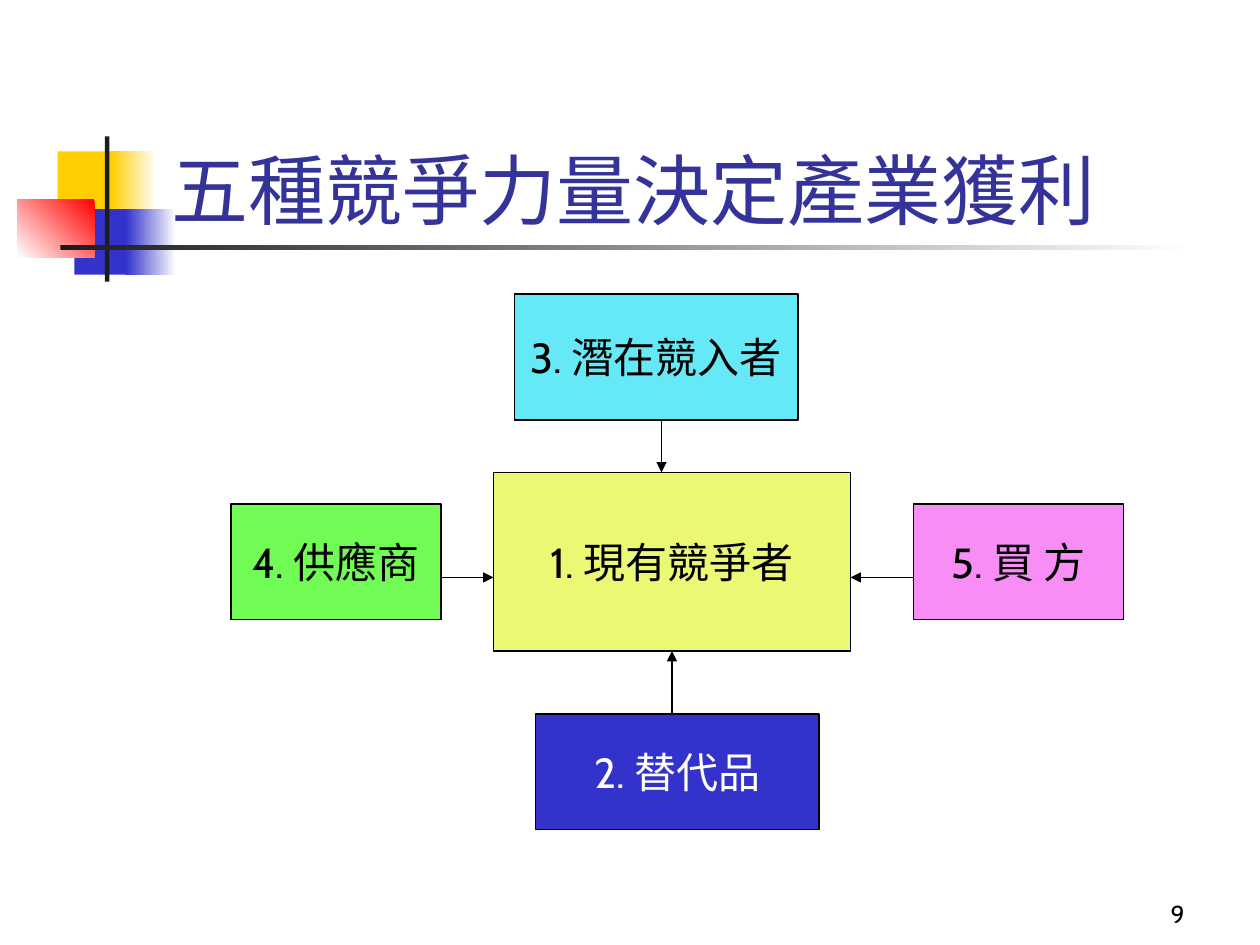
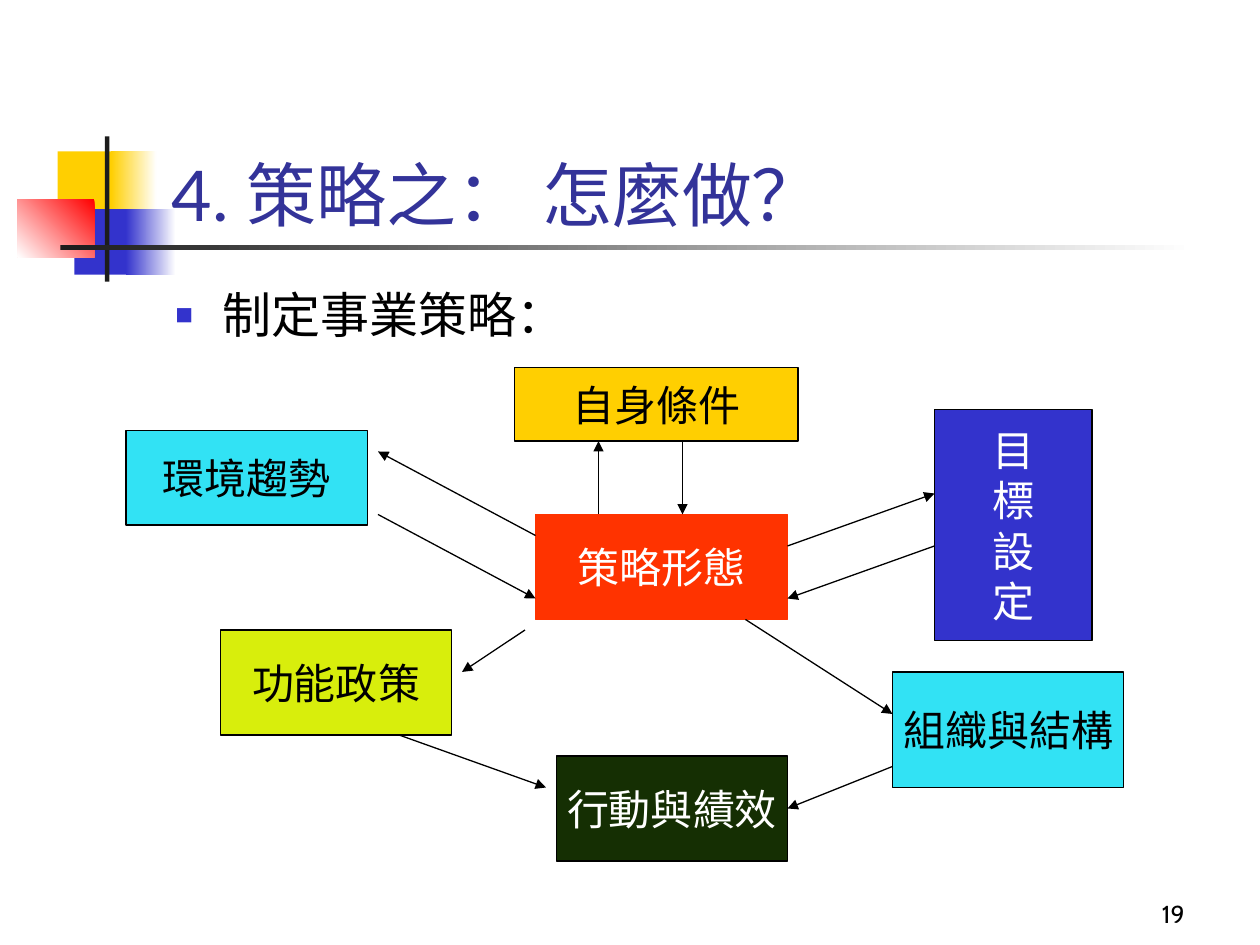
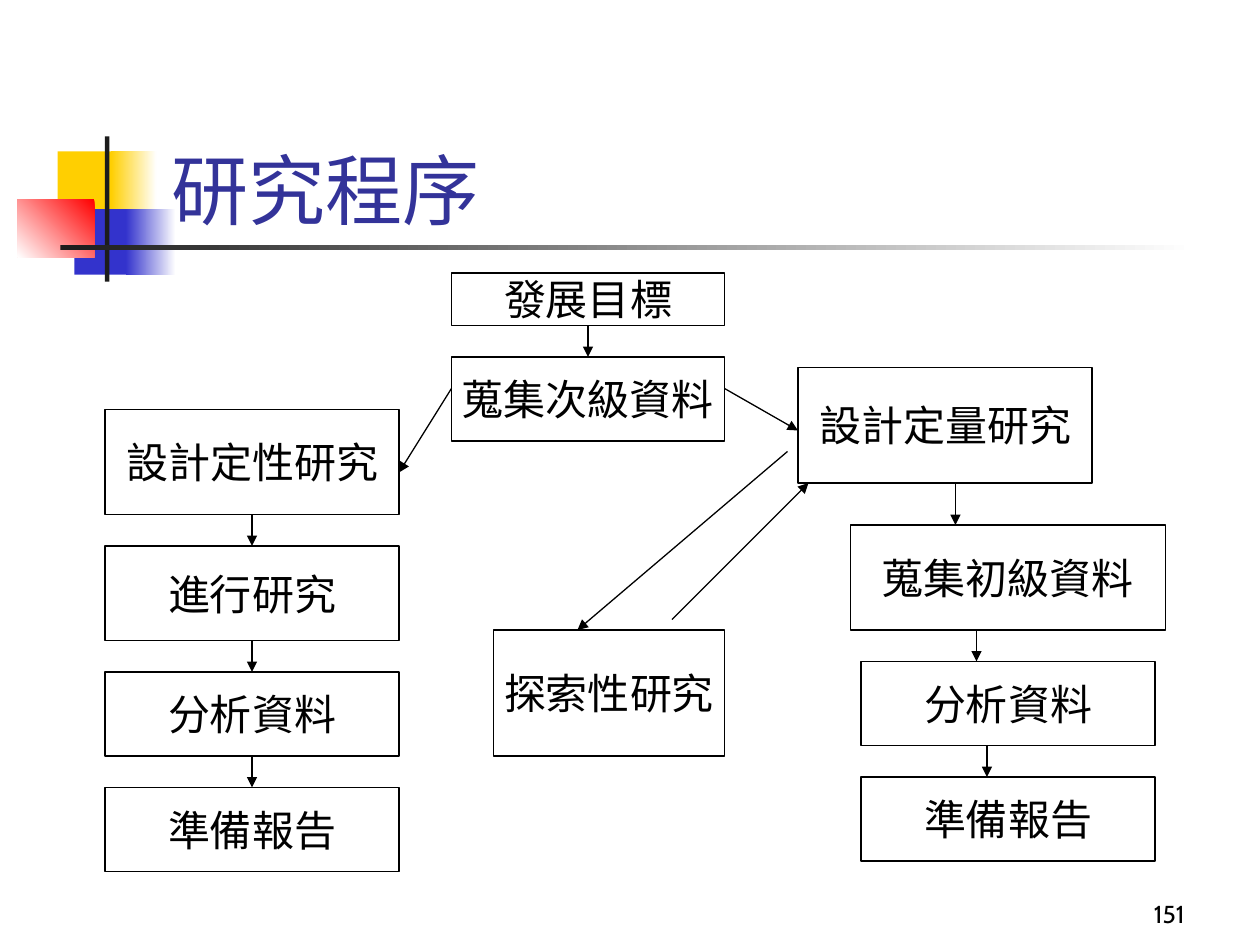
import lxml.etree
import pptx
import pptx.dml.color
import pptx.enum.shapes
import pptx.enum.text
import pptx.oxml.ns
import pptx.util

Pt = pptx.util.Pt
RGBColor = pptx.dml.color.RGBColor
Align = pptx.enum.text.PP_ALIGN
Anchor = pptx.enum.text.MSO_ANCHOR
qn = pptx.oxml.ns.qn

BLACK = RGBColor(0x00, 0x00, 0x00)
WHITE = RGBColor(0xFF, 0xFF, 0xFF)
CHARCOAL = RGBColor(0x1C, 0x1C, 0x1C)
GOLD = RGBColor(0xFF, 0xCF, 0x01)
BLUE = RGBColor(0x33, 0x33, 0xCC)
RED = RGBColor(0xFF, 0x00, 0x00)
TITLE_BLUE = RGBColor(0x33, 0x33, 0x99)
LEMON = RGBColor(0xEB, 0xF8, 0x74)
SKY = RGBColor(0x65, 0xE9, 0xF7)
GREEN = RGBColor(0x71, 0xFB, 0x55)
PINK = RGBColor(0xF8, 0x8E, 0xF5)
ORANGE = RGBColor(0xFF, 0x33, 0x00)
CYAN = RGBColor(0x32, 0xE2, 0xF4)
LIME = RGBColor(0xD8, 0xEE, 0x0C)
FOREST = RGBColor(0x15, 0x2F, 0x03)

BODY_FONT = "Cabin"
LINE_WIDTH = 0.75

# Regions as (left, top, width, height) in points
EMBLEM_AREA = (10, 78, 673, 83)
TITLE_AREA = (91, 48, 613, 90)
BODY_AREA = (93, 159, 612, 324)
NUMBER_AREA = (534, 498, 150, 36)
FORCES_AREA = (132, 168, 510, 306)
STRATEGY_AREA = (72, 210, 570, 282)
RESEARCH_AREA = (60, 156, 606, 342)


# Shared parts
def style_text(text_frame, size, color, font=BODY_FONT, align=Align.LEFT):
    for paragraph in text_frame.paragraphs:
        paragraph.alignment = align
        paragraph.font.name = font
        paragraph.font.size = Pt(size)
        paragraph.font.color.rgb = color


def place(placeholder, area):
    placeholder.left, placeholder.top, placeholder.width, placeholder.height = map(Pt, area)
    placeholder.text_frame.auto_size = pptx.enum.text.MSO_AUTO_SIZE.NONE


def add_rect(slide, area, left, top, width, height):
    rect = slide.shapes.add_shape(
        pptx.enum.shapes.MSO_SHAPE.RECTANGLE,
        Pt(area[0] + left), Pt(area[1] + top), Pt(width), Pt(height))
    rect.shadow.inherit = False
    return rect


def add_box(slide, area, label, left, top, width, height,
            fill=WHITE, ink=BLACK, outline=BLACK):
    box = add_rect(slide, area, left, top, width, height)
    box.fill.solid()
    box.fill.fore_color.rgb = fill
    box.line.color.rgb = outline
    box.line.width = Pt(LINE_WIDTH)
    frame = box.text_frame
    frame.word_wrap = False
    frame.vertical_anchor = Anchor.MIDDLE
    frame.text = label
    style_text(frame, 24, ink, align=Align.CENTER)


def add_arrow(slide, area, x1, y1, x2, y2):
    left, top = area[:2]
    arrow = slide.shapes.add_connector(
        pptx.enum.shapes.MSO_CONNECTOR.STRAIGHT,
        Pt(left + x1), Pt(top + y1), Pt(left + x2), Pt(top + y2))
    arrow.line.color.rgb = BLACK
    arrow.line.width = Pt(LINE_WIDTH)
    properties = arrow.element.spPr
    lxml.etree.SubElement(properties.find(qn("a:ln")), qn("a:tailEnd"), type="triangle")
    lxml.etree.SubElement(properties, qn("a:effectLst"))


def add_diagram(slide, area, boxes, arrows):
    for box in boxes:
        add_box(slide, area, *box)
    for arrow in arrows:
        add_arrow(slide, area, *arrow)


def add_stack(slide, area, top, steps, links):
    """Stack (label, left, width, height) steps, joined by (arrow x, gap) links."""
    for index, (label, left, width, height) in enumerate(steps):
        add_box(slide, area, label, left, top, width, height)
        top += height
        if index < len(links):
            x, gap = links[index]
            add_arrow(slide, area, x, top, x, top + gap)
            top += gap


def add_emblem(slide, master, area):
    """Draw the squares and rules, then hand them to the master."""
    parts = [  # left, top, width, height, colour, fade angle
        (23, 8.5, 34.5, 37.5, GOLD, None),
        (53.5, 8.5, 26, 37.5, GOLD, 0),
        (32.5, 41.5, 33, 37.5, BLUE, None),
        (62, 41.5, 28.5, 37.5, BLUE, 0),
        (0, 36, 44, 33, RED, 225),
        (50, 0, 2.5, 83, CHARCOAL, None),
        (24.5, 62.25, 648, 2.5, CHARCOAL, 0),
    ]
    for left, top, width, height, color, fade_angle in parts:
        part = add_rect(slide, area, left, top, width, height)
        part.line.fill.background()
        if fade_angle is None:
            part.fill.solid()
            part.fill.fore_color.rgb = color
        else:
            part.fill.gradient()
            part.fill.gradient_angle = fade_angle
            for stop, shade in zip(part.fill.gradient_stops, (color, WHITE)):
                stop.color.rgb = shade
        master.shapes.element.append(part.element)


def add_page(prs, layout_name, title, number, font, size=44):
    slide = prs.slides.add_slide(prs.slide_layouts.get_by_name(layout_name))
    heading = slide.shapes.title
    place(heading, TITLE_AREA)
    heading.text_frame.text = title
    heading.text_frame.vertical_anchor = Anchor.BOTTOM
    style_text(heading.text_frame, size, TITLE_BLUE, font)

    page_number = slide.shapes.add_textbox(*map(Pt, NUMBER_AREA)).text_frame
    page_number.word_wrap = True
    page_number.vertical_anchor = Anchor.BOTTOM
    page_number.text = str(number)
    style_text(page_number, 14, BLACK, align=Align.RIGHT)
    return slide


def fill_body(slide, text):
    body = slide.placeholders[1]
    place(body, BODY_AREA)
    body.text_frame.text = text
    paragraph = body.text_frame.paragraphs[0]
    properties = paragraph._p.get_or_add_pPr()
    properties.set("marL", str(Pt(27)))
    properties.set("indent", str(-Pt(27)))
    bullet_color = lxml.etree.SubElement(properties, qn("a:buClr"))
    lxml.etree.SubElement(bullet_color, qn("a:srgbClr"), val=str(BLUE))
    lxml.etree.SubElement(properties, qn("a:buSzPct"), val="60000")
    lxml.etree.SubElement(properties, qn("a:buChar"), char="■")
    paragraph.space_before = Pt(0)
    style_text(body.text_frame, 28, BLACK)


# Five forces around the existing rivals
def draw_forces(slide, area):
    boxes = [
        ("1. 現有競爭者", 150, 102, 204, 102, LEMON),
        ("3. 潛在競入者", 162, 0, 162, 72, SKY),
        ("2. 替代品", 174, 240, 162, 66, BLUE, WHITE),
        ("4. 供應商", 0, 120, 120, 66, GREEN),
        ("5. 買 方", 390, 120, 120, 66, PINK),
    ]
    arrows = [
        (120, 162, 150, 162),
        (390, 162, 354, 162),
        (252, 240, 252, 204),
        (246, 72, 246, 102),
    ]
    add_diagram(slide, area, boxes, arrows)


# Strategy and the factors it exchanges with
def draw_strategy(slide, area):
    boxes = [
        ("策略形態", 234, 84, 144, 60, ORANGE, WHITE, ORANGE),
        ("環境趨勢", 0, 36, 138, 54, CYAN),
        ("自身條件", 222, 0, 162, 42, GOLD),
        ("\n".join("目標設定"), 462, 24, 90, 132, BLUE, WHITE),
        ("功能政策", 54, 150, 132, 60, LIME),
        ("組織與結構", 438, 174, 132, 66, CYAN),
        ("行動與績效", 246, 222, 132, 60, FOREST, WHITE),
    ]
    arrows = [
        (234, 96, 144, 48), (144, 84, 234, 132),      # environment
        (378, 102, 462, 72), (462, 102, 378, 132),    # goals
        (270, 84, 270, 42), (318, 42, 318, 84),       # own conditions
        (228, 150, 192, 174), (354, 144, 438, 198),   # policy, organisation
        (156, 210, 240, 240), (438, 228, 378, 252),   # action and results
    ]
    add_diagram(slide, area, boxes, arrows)


# Research steps: shared start, qualitative and quantitative branches
def draw_research(slide, area):
    add_stack(slide, area, 0,
              [("發展目標", 198, 156, 30), ("蒐集次級資料", 198, 156, 48)],
              [(276, 18)])
    add_stack(slide, area, 78,
              [("設計定性研究", 0, 168, 60), ("進行研究", 0, 168, 54),
               ("分析資料", 0, 168, 48), ("準備報告", 0, 168, 48)],
              [(84, 18)] * 3)
    add_stack(slide, area, 54,
              [("設計定量研究", 396, 168, 66), ("蒐集初級資料", 426, 180, 60),
               ("分析資料", 432, 168, 48), ("準備報告", 432, 168, 48)],
              [(486, 24), (498, 18), (504, 18)])
    arrows = [
        (354, 66, 396, 90), (198, 66, 168, 114),      # to each branch
        (390, 102, 270, 204), (324, 198, 402, 120),   # exploratory loop
    ]
    add_diagram(slide, area, [("探索性研究", 222, 204, 132, 72)], arrows)


def main():
    prs = pptx.Presentation()
    prs.slide_width, prs.slide_height = Pt(720), Pt(540)

    forces = add_page(prs, "Title Only", "五種競爭力量決定產業獲利", 9, "Cabin")
    add_emblem(forces, prs.slide_master, EMBLEM_AREA)
    draw_forces(forces, FORCES_AREA)

    strategy = add_page(prs, "Title and Content", "4. 策略之： 怎麼做？", 19, "Lato", 40)
    fill_body(strategy, "制定事業策略：")
    draw_strategy(strategy, STRATEGY_AREA)

    research = add_page(prs, "Title Only", "研究程序", 151, "Lato")
    draw_research(research, RESEARCH_AREA)

    prs.save("out.pptx")


if __name__ == "__main__":
    main()
